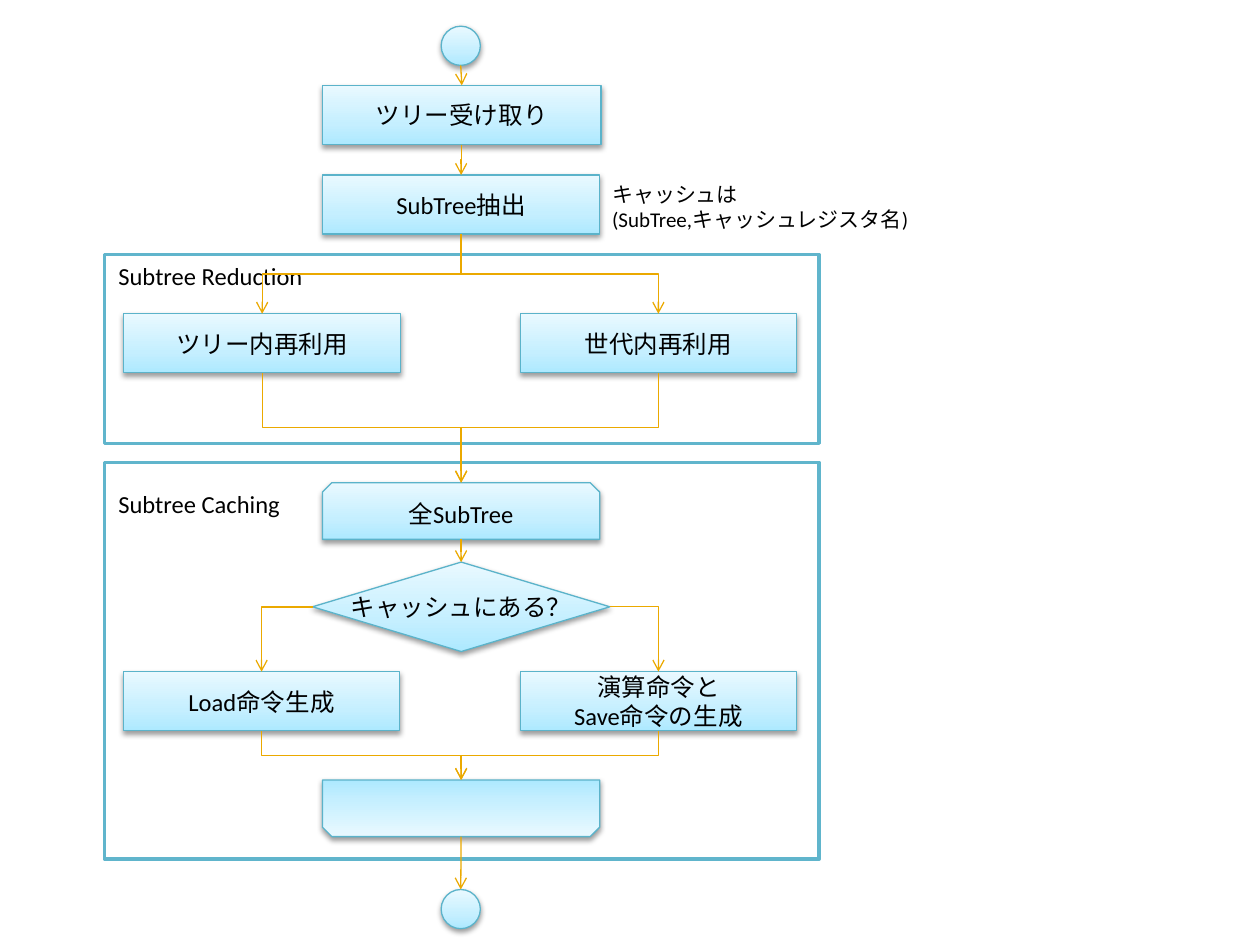
from dataclasses import dataclass

from lxml.etree import SubElement
from pptx import Presentation
from pptx.dml.color import RGBColor
from pptx.enum.shapes import MSO_CONNECTOR as Link, MSO_SHAPE as Kind
from pptx.enum.text import MSO_ANCHOR as Anchor, MSO_AUTO_SIZE as AutoSize, PP_ALIGN as Align
from pptx.oxml.ns import qn
from pptx.util import Pt


@dataclass(frozen=True)
class Theme:
    """Colours, fonts and sizes of the flowchart."""
    gradient: tuple = ((0, "ADE9FF"), (35, "C5EFFF"), (100, "E9F9FF"))
    node_line: str = "5BB3CA"
    frame_line: str = "60B5CC"
    arrow: str = "EBA900"
    text: str = "000000"
    latin: str = "Calibri"
    asian: str = "Noto Sans CJK JP"
    body: int = 14
    note: int = 12
    thin: float = 0.75
    thick: float = 2


THEME = Theme()
NODE_HEIGHT = 33.8
CENTRAL = 158.4
SIDE = 157.7
LOOP_HEIGHT = 32.4
CIRCLE = 22.4


def write(shape, text, size=THEME.body, align=Align.CENTER, anchor=Anchor.MIDDLE):
    """Write text without wrapping; a newline starts a paragraph, \\v a line."""
    frame = shape.text_frame
    frame.text = text
    frame.word_wrap = False
    frame.vertical_anchor = anchor
    for paragraph in frame.paragraphs:
        paragraph.alignment = align
        for run in paragraph.runs:
            font = run.font
            font.size, font.name = Pt(size), THEME.latin
            font.color.rgb = RGBColor.from_string(THEME.text)
            SubElement(run._r.get_or_add_rPr(), qn("a:ea"), typeface=THEME.asian)


def stroke(item, color, width):
    """Set the line colour and width of a shape or connector."""
    item.line.color.rgb = RGBColor.from_string(color)
    item.line.width = Pt(width)


def add_color(parent, color):
    """Append an RGB colour to an XML parent."""
    return SubElement(parent, qn("a:srgbClr"), val=color)


def add_node(slide, left, top, width, height, text="", kind=Kind.RECTANGLE):
    """Add a flowchart node with gradient and soft shadow."""
    shape = slide.shapes.add_shape(kind, Pt(left), Pt(top), Pt(width), Pt(height))
    shape.fill.gradient()
    shape.fill.gradient_angle = 90
    properties = shape._element.spPr
    stops = properties.find(".//" + qn("a:gsLst"))
    for stop in list(stops):
        stops.remove(stop)
    for position, color in THEME.gradient:
        add_color(SubElement(stops, qn("a:gs"), pos=str(position * 1000)), color)
    stroke(shape, THEME.node_line, THEME.thin)
    shape.shadow.inherit = False
    shadow = SubElement(properties.find(qn("a:effectLst")), qn("a:outerShdw"),
                        blurRad=str(Pt(3.1)), dist=str(Pt(1.6)), dir="5400000",
                        rotWithShape="0")
    SubElement(add_color(shadow, "000000"), qn("a:alpha"), val="38000")
    if text:
        write(shape, text)
    return shape


def add_label(slide, left, top, width, height, text, **text_format):
    """Add a text box that grows with its text."""
    label = slide.shapes.add_textbox(Pt(left), Pt(top), Pt(width), Pt(height))
    write(label, text, anchor=Anchor.TOP, **text_format)
    label.text_frame.auto_size = AutoSize.SHAPE_TO_FIT_TEXT


def add_frame(slide, left, top, width, height):
    """Outline one stage of the flow."""
    frame = slide.shapes.add_shape(Kind.RECTANGLE, Pt(left), Pt(top), Pt(width), Pt(height))
    frame.fill.background()
    stroke(frame, THEME.frame_line, THEME.thick)
    frame.shadow.inherit = False


def add_arrow(slide, kind, start, end):
    """Add a connector with an open arrowhead."""
    arrow = slide.shapes.add_connector(kind, *start, *end)
    stroke(arrow, THEME.arrow, THEME.thin)
    SubElement(arrow.line._get_or_add_ln(), qn("a:tailEnd"), type="arrow")
    SubElement(arrow._element.spPr, qn("a:effectLst"))
    return arrow


def center_x(shape):
    """Return the horizontal centre of a shape."""
    return shape.left + shape.width // 2


def below(shape):
    """Return the bottom centre of a shape."""
    return center_x(shape), shape.top + shape.height


def above(shape):
    """Return the top centre of a shape."""
    return center_x(shape), shape.top


def turn(arrow, degrees, flip=""):
    """Set the rotation and mirroring of an elbow arrow."""
    transform = arrow._element.spPr.find(qn("a:xfrm"))
    for name in ("flipH", "flipV"):
        transform.attrib.pop(name, None)
    transform.set("rot", str(degrees * 60000))
    if flip:
        transform.set(flip, "1")


def link_straight(slide, upper, lower):
    """Join two nodes with a straight arrow."""
    add_arrow(slide, Link.STRAIGHT, below(upper), above(lower))


def link_step(slide, upper, lower):
    """Join two nodes by a down, across, down elbow."""
    (x1, y1), (x2, y2) = below(upper), above(lower)
    arrow = add_arrow(slide, Link.ELBOW, (x1, y1), (x2, y2))
    across, down = abs(x2 - x1), y2 - y1
    arrow.left, arrow.top = (x1 + x2 - down) // 2, (y1 + y2 - across) // 2
    arrow.width, arrow.height = down, across
    turn(arrow, *((270, "flipH") if x2 > x1 else (90,)))


def link_branch(slide, decision, target):
    """Join a side corner of a decision to the top of a node."""
    rightward = center_x(target) > center_x(decision)
    x = decision.left + (decision.width if rightward else 0)
    start = x, decision.top + decision.height // 2
    arrow = add_arrow(slide, Link.ELBOW, start, above(target))
    arrow._element.spPr.find(qn("a:prstGeom")).set("prst", "bentConnector2")
    turn(arrow, *((0,) if rightward else (180, "flipV")))


def add_intake(slide, left, top):
    """Draw start, reception and extraction; return the extraction node."""
    start = add_node(slide, left + 67.8, top, CIRCLE, CIRCLE, kind=Kind.OVAL)
    receive = add_node(slide, left, top + 33.8, 159.2, NODE_HEIGHT, "ツリー受け取り")
    extract = add_node(slide, left, top + 85, CENTRAL, NODE_HEIGHT, "SubTree抽出")
    link_straight(slide, start, receive)
    link_step(slide, receive, extract)
    add_label(slide, left + CENTRAL, top + 85, 198.7, 36,
              "キャッシュは\n(SubTree,キャッシュレジスタ名)",
              size=THEME.note, align=Align.LEFT)
    return extract


def add_reduction(slide, left, top, width, height):
    """Draw the reduction stage; return its two reuse nodes."""
    in_tree = add_node(slide, left + 10.8, top + 33.9, CENTRAL, NODE_HEIGHT, "ツリー内再利用")
    in_generation = add_node(slide, left + 237.6, top + 33.9, SIDE, NODE_HEIGHT, "世代内再利用")
    add_label(slide, left, top, 121, 24.5, "Subtree Reduction")
    add_frame(slide, left, top, width, height)
    return in_tree, in_generation


def add_caching(slide, left, top, width, height):
    """Draw the caching stage; return the nodes where its loop starts and ends."""
    middle = left + 124.5
    loop_start = add_node(slide, middle, top + 11.6, CENTRAL, LOOP_HEIGHT, "全SubTree",
                          Kind.SNIP_2_SAME_RECTANGLE)
    cached = add_node(slide, left + 118.8, top + 57, 169.9, 51.1, "キャッシュにある？",
                      Kind.FLOWCHART_DECISION)
    load = add_node(slide, left + 10.8, top + 119.6, SIDE, NODE_HEIGHT, "Load命令生成")
    save = add_node(slide, left + 237.6, top + 119.6, SIDE, NODE_HEIGHT,
                    "演算命令と\vSave命令の生成")
    loop_end = add_node(slide, middle, top + 181.5, CENTRAL, LOOP_HEIGHT,
                        kind=Kind.SNIP_2_SAME_RECTANGLE)
    loop_end._element.spPr.find(qn("a:xfrm")).set("flipV", "1")
    link_step(slide, loop_start, cached)
    for branch in (load, save):
        link_branch(slide, cached, branch)
        link_step(slide, branch, loop_end)
    add_label(slide, left, top + 11.6, 108, 24.5, "Subtree Caching")
    add_frame(slide, left, top, width, height)
    return loop_start, loop_end


def build():
    """Build and save the flowchart slide."""
    presentation = Presentation()
    presentation.slide_width, presentation.slide_height = Pt(720), Pt(540)
    slide = presentation.slides.add_slide(presentation.slide_layouts[6])
    extract = add_intake(slide, 184.3, 15)
    reuses = add_reduction(slide, 59.8, 145.4, 408.2, 108)
    loop_start, loop_end = add_caching(slide, 59.8, 264.2, 408.2, 226.8)
    for reuse in reuses:
        link_step(slide, extract, reuse)
        link_step(slide, reuse, loop_start)
    finish = add_node(slide, 252.1, 508.3, CIRCLE, CIRCLE, kind=Kind.OVAL)
    link_straight(slide, loop_end, finish)
    presentation.save("out.pptx")


build()
